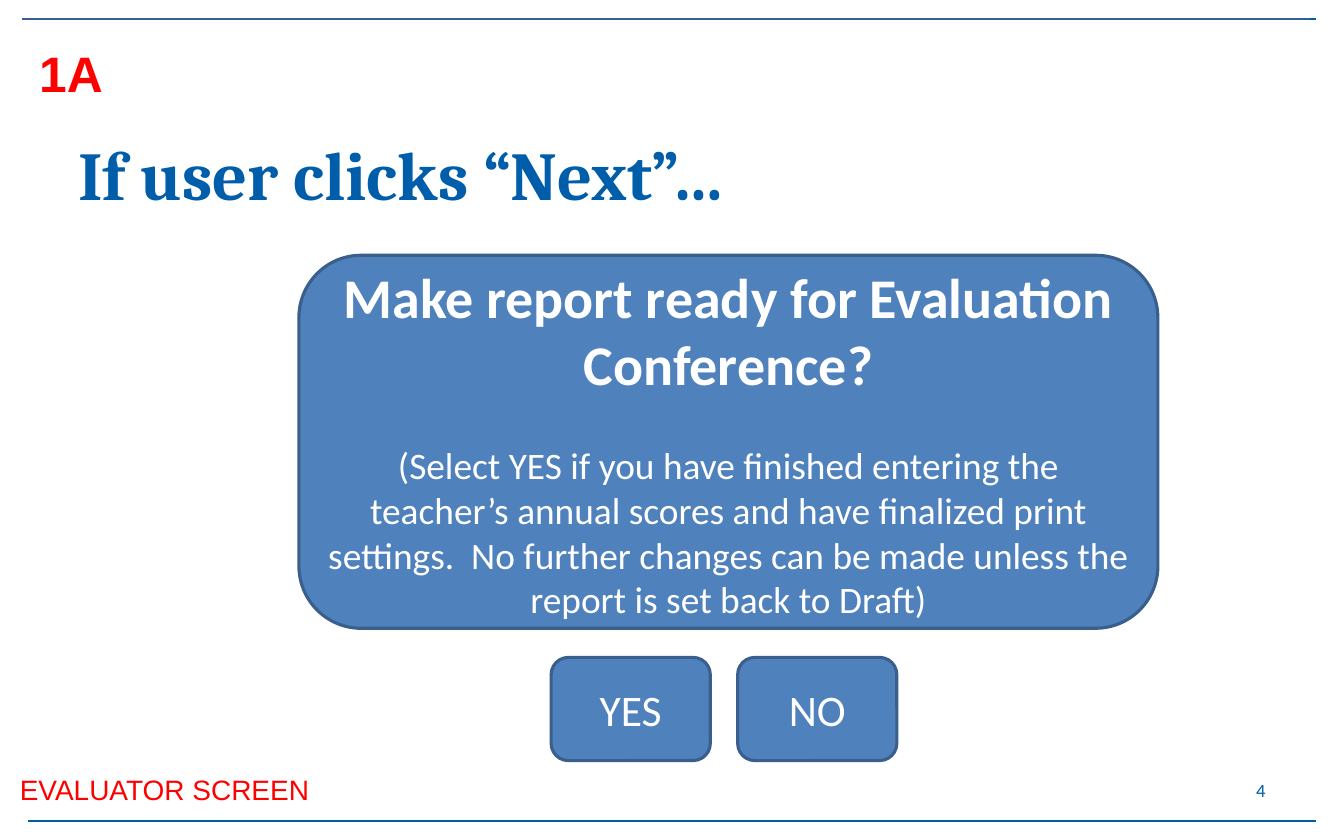
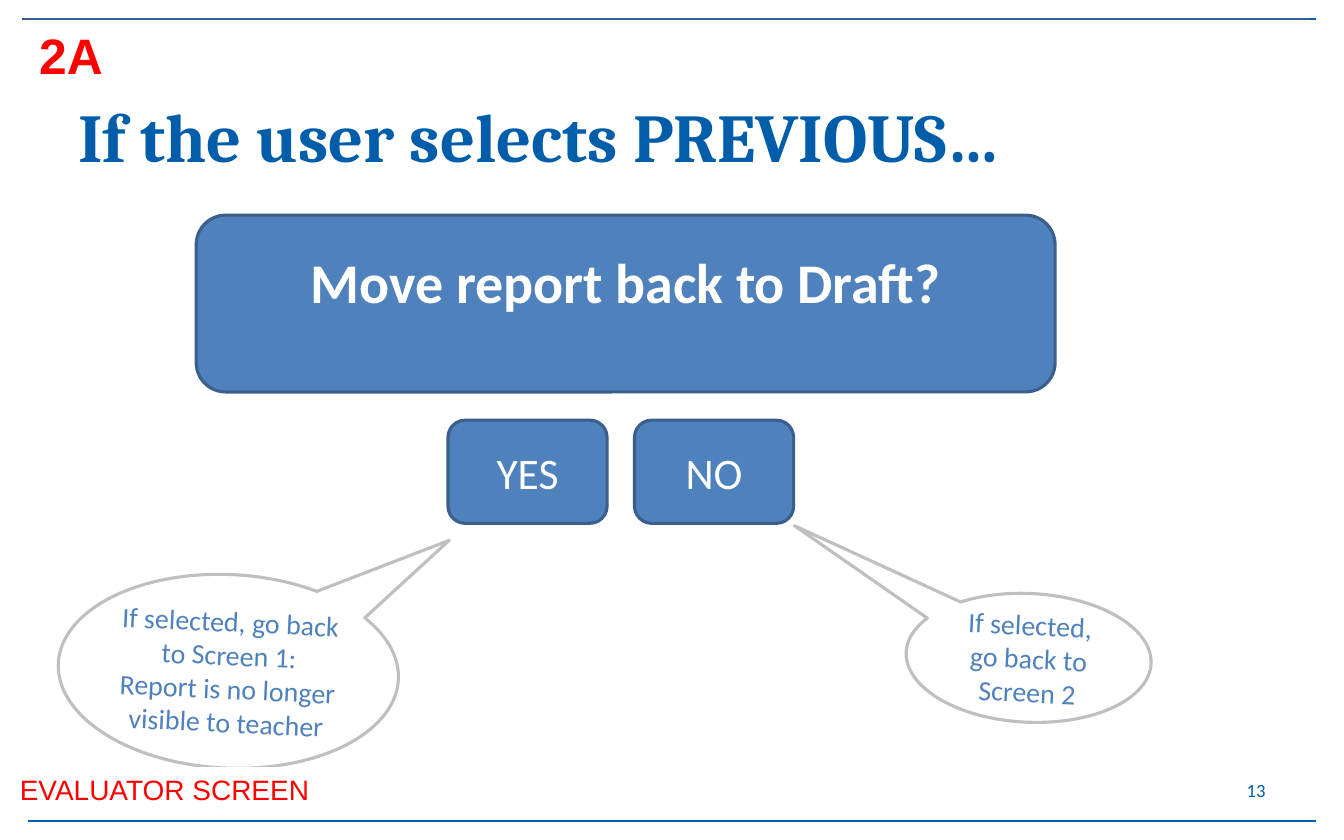
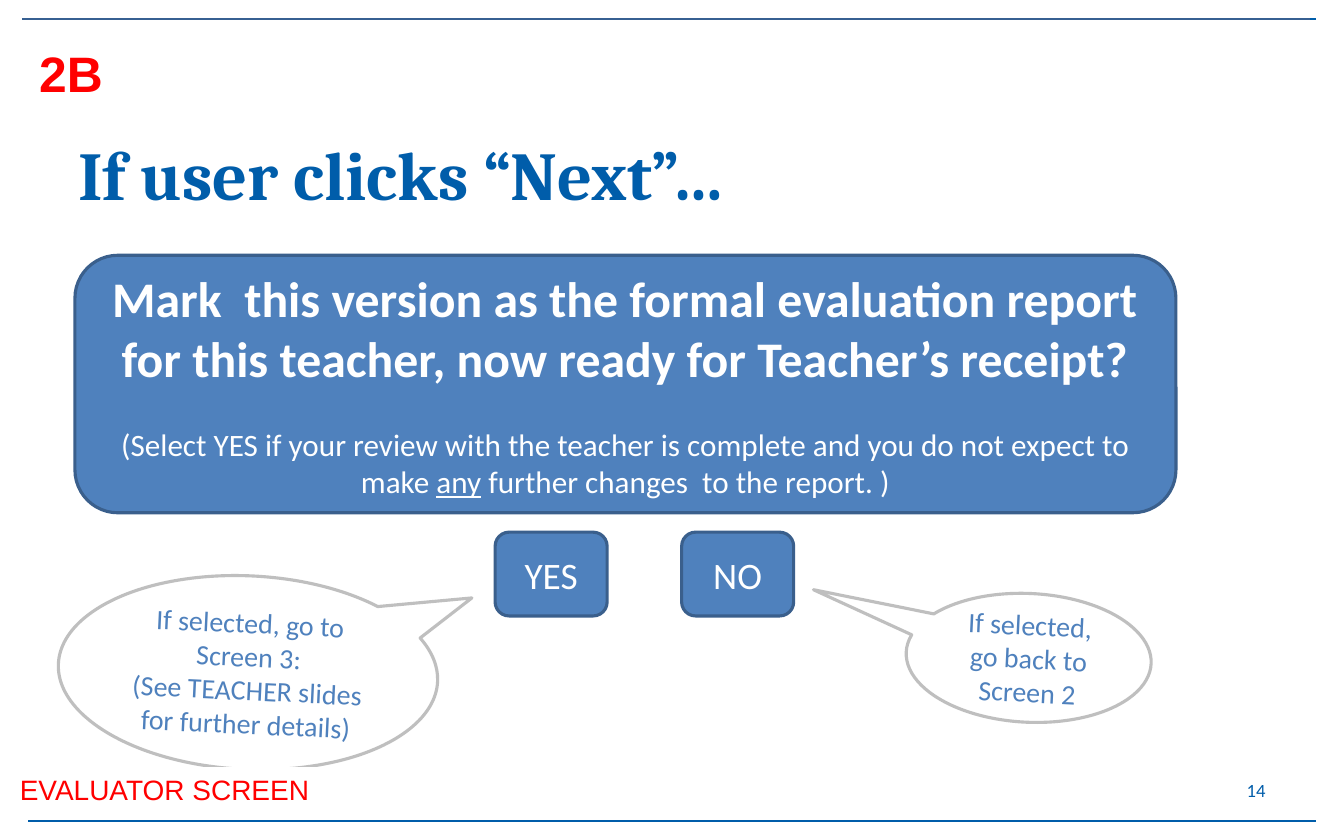
from pptx import Presentation
from pptx.dml.color import RGBColor
from pptx.enum.shapes import MSO_CONNECTOR, MSO_SHAPE
from pptx.enum.text import MSO_ANCHOR, PP_ALIGN
from pptx.oxml.ns import qn
from pptx.util import Cm, Pt
from lxml import etree

ROUNDED = MSO_SHAPE.ROUNDED_RECTANGLE
BUBBLE = MSO_SHAPE.OVAL_CALLOUT
RECTANGLE = MSO_SHAPE.RECTANGLE
STRAIGHT = MSO_CONNECTOR.STRAIGHT
TOP, MIDDLE = MSO_ANCHOR.TOP, MSO_ANCHOR.MIDDLE
LEFT, CENTER, RIGHT = PP_ALIGN.LEFT, PP_ALIGN.CENTER, PP_ALIGN.RIGHT

BRAND = "005DAA"
RULE = "376092"
PANEL = "4F81BD"
PANEL_EDGE = "3A5F8C"
BUBBLE_EDGE = "BFBFBF"
RED = "FF0000"
WHITE = "FFFFFF"

HEADING, BODY, LABEL = "Cambria", "Calibri", "Arial"
LINE_HEIGHT = 1.22
BUTTON_PITCH = 4.23
BUBBLE_TILT = 2.7


def rgb(value):
    return RGBColor.from_string(value)


def write(frame, paragraphs, font, color, align=LEFT, anchor=TOP):
    frame.word_wrap = True
    frame.vertical_anchor = anchor
    for index, (text, size, bold, gap) in enumerate(paragraphs):
        paragraph = frame.add_paragraph() if index else frame.paragraphs[0]
        paragraph.alignment = align
        if gap:
            paragraph.space_before = Pt(gap)
        paragraph.font.name = font
        paragraph.font.size = Pt(size)
        paragraph.font.bold = bold
        paragraph.font.color.rgb = rgb(color)
        for position, part in enumerate(text.split("_")):
            run = paragraph.add_run()
            run.text = part
            if position % 2:
                run.font.underline = True


def add_label(slide, box, text, size, font, color, bold=False, align=LEFT, anchor=TOP):
    label = slide.shapes.add_textbox(*map(Cm, box))
    write(label.text_frame, [(text, size, bold, 0)], font, color, align, anchor)


def add_panel(slide, kind, box, fill, edge=None):
    panel = slide.shapes.add_shape(kind, *map(Cm, box))
    panel.shadow.inherit = False
    panel.fill.solid()
    panel.fill.fore_color.rgb = rgb(fill)
    if edge:
        panel.line.color.rgb = rgb(edge)
        panel.line.width = Pt(2)
    else:
        panel.line.fill.background()
    return panel


def add_rule(slide, left, top, color):
    rule = slide.shapes.add_connector(
        STRAIGHT, Cm(left), Cm(top), Cm(left + 29.21), Cm(top))
    rule.line.color.rgb = rgb(color)
    rule.line.width = Pt(1.5)
    etree.SubElement(rule._element.spPr, qn("a:effectLst"))


def add_header(slide, tag, tag_top, title, title_top):
    add_rule(slide, 0.64, 0.43, BRAND)
    add_rule(slide, 0.64, 18.62, BRAND)
    add_rule(slide, 0.51, 0.43, RULE)
    add_label(slide, (1.52, title_top, 27.43, 3.18), title, 44, HEADING, BRAND,
              bold=True, anchor=MIDDLE)
    add_label(slide, (0.64, tag_top, 3.61, 1.63), tag, 32, LABEL, RED, bold=True)


def add_footer(slide, number):
    screen = add_panel(slide, RECTANGLE, (0.2, 17.4, 8.46, 1.02), WHITE)
    write(screen.text_frame, [("EVALUATOR SCREEN", 18, False, 0)], LABEL, RED)
    add_label(slide, (21.84, 17.4, 7.11, 1.02), number, 12, BODY, BRAND,
              align=RIGHT, anchor=MIDDLE)


def add_question(slide, box, question, size, hint=None, hint_size=24):
    panel = add_panel(slide, ROUNDED, box, PANEL, PANEL_EDGE)
    gap = hint_size * LINE_HEIGHT
    paragraphs = [(question, size, True, 0)]
    if hint:
        paragraphs.append((hint, hint_size, False, gap))
    else:
        panel.text_frame.margin_bottom += Pt(gap)
    write(panel.text_frame, paragraphs, BODY, WHITE, CENTER, MIDDLE)


def add_answers(slide, box, size):
    left, top, width, height = box
    for index, answer in enumerate(("YES", "NO")):
        button = add_panel(slide, ROUNDED, (left + index * BUTTON_PITCH, top, width, height),
                           PANEL, PANEL_EDGE)
        write(button.text_frame, [(answer, size, False, 0)], BODY, WHITE, CENTER, MIDDLE)


def add_bubble(slide, box, tip, lines):
    bubble = add_panel(slide, BUBBLE, box, WHITE, BUBBLE_EDGE)
    bubble.rotation = BUBBLE_TILT
    bubble.adjustments[0], bubble.adjustments[1] = tip
    write(bubble.text_frame, [(line, 18, False, 0) for line in lines],
          BODY, PANEL, CENTER, MIDDLE)


def add_outcomes(slide, yes_box, yes_tip, yes_lines, no_tip):
    add_bubble(slide, yes_box, yes_tip, yes_lines)
    add_bubble(slide, (20.55, 13.46, 5.56, 2.92), no_tip,
               ["If selected, go back to Screen 2"])


def build_ready(slide):
    add_header(slide, "1A", 0.84, "If user clicks “Next”…", 2.34)
    add_question(
        slide, (6.78, 5.79, 19.48, 8.46), "Make report ready for Evaluation Conference?", 36,
        "(Select YES if you have finished entering the teacher’s annual scores and have "
        "finalized print settings.  No further changes can be made unless the report is "
        "set back to Draft)")
    add_answers(slide, (12.5, 14.91, 3.61, 2.34), 28)
    add_footer(slide, "4")


def build_draft(slide):
    add_header(slide, "2A", 0.43, "If the user selects PREVIOUS…", 1.47)
    add_question(slide, (4.45, 4.88, 19.48, 4.01), "Move report back to Draft?", 36)
    add_answers(slide, (10.16, 9.53, 3.61, 2.34), 28)
    add_outcomes(slide, (1.32, 13.03, 7.72, 4.39), (0.63, -0.73),
                 ["If selected, go back to Screen 1:",
                  "Report is no longer visible to teacher"], (-0.98, -0.94))
    add_footer(slide, "13")


def build_formal(slide):
    add_header(slide, "2B", 0.84, "If user clicks “Next”…", 2.34)
    add_question(
        slide, (1.7, 5.79, 24.97, 5.84),
        "Mark  this version as the formal evaluation report for this teacher, "
        "now ready for Teacher’s receipt?", 32,
        "(Select YES if your review with the teacher is complete and you do not expect "
        "to make _any_ further changes  to the report. )", 20)
    add_answers(slide, (11.23, 12.07, 2.54, 1.9), 24)
    add_outcomes(slide, (1.32, 13.06, 8.61, 4.39), (0.58, -0.44),
                 ["If selected, go to Screen 3:",
                  "(See TEACHER slides for further details)"], (-0.89, -0.45))
    add_footer(slide, "14")


def main():
    deck = Presentation()
    deck.slide_width, deck.slide_height = Cm(30.48), Cm(19.05)
    blank = deck.slide_layouts[6]
    for build in (build_ready, build_draft, build_formal):
        build(deck.slides.add_slide(blank))
    deck.save("out.pptx")


if __name__ == "__main__":
    main()
